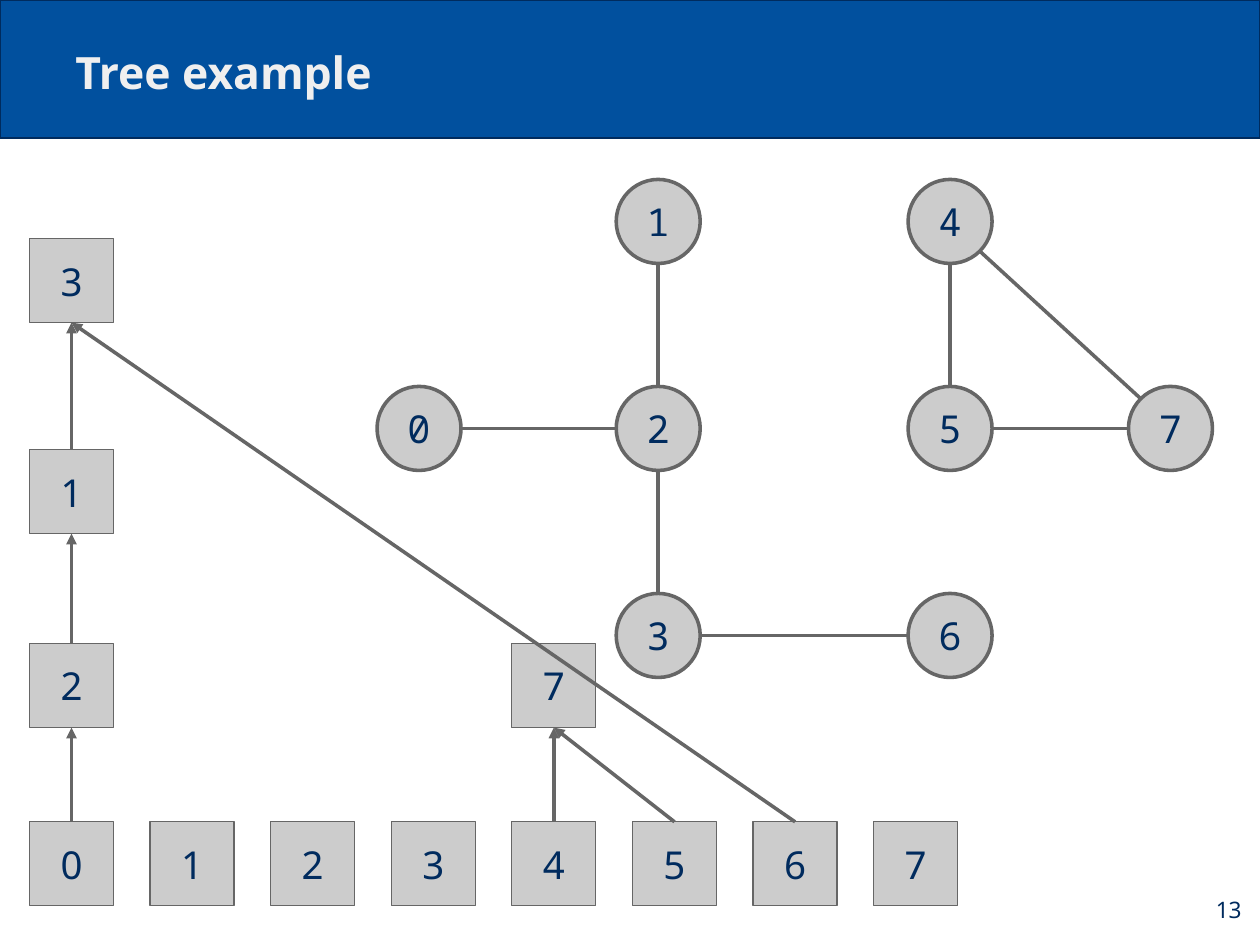
import math

import pptx
import pptx.dml.color
import pptx.enum.shapes
import pptx.enum.text
import pptx.util
from lxml import etree
from pptx.oxml.ns import qn

Pt = pptx.util.Pt
SHAPES = pptx.enum.shapes.MSO_SHAPE
ALIGN = pptx.enum.text.PP_ALIGN
ANCHOR = pptx.enum.text.MSO_ANCHOR
STRAIGHT = pptx.enum.shapes.MSO_CONNECTOR.STRAIGHT

TITLE = "Tree example"
PAGE_NUMBER = "13"
SANS, MONO = "Noto Sans", "Noto Sans Mono"
BLUE, NAVY, PALE = "01509E", "002B5E", "EFEFEF"
LIGHT_GRAY, DARK_GRAY = "CCCCCC", "666666"

WIDTH, HEIGHT = 793.44, 595.44
NODE = 52.9
INSET = 7.9

COLUMNS = [263.9, 414.5, 598.3, 737.1]
ROW_TOP, ROW_STEP = 139.4, 130.3
GRAPH_NODES = {
    "0": (0, 1), "1": (1, 0), "2": (1, 1), "3": (1, 2),
    "4": (2, 0), "5": (2, 1), "6": (2, 2), "7": (3, 1),
}
GRAPH_EDGES = ["02", "12", "23", "36", "45", "47", "57"]

ARRAY_LEFT, ARRAY_STEP = 18.6, 75.94
LEVEL_TOPS = [517.3, 405.1, 283, 150.2]
TREE_NODES = [(str(slot), slot, 0) for slot in range(8)]
TREE_NODES += [("2", 0, 1), ("7", 4, 1), ("1", 0, 2), ("3", 0, 3)]
TREE_ARROWS = [
    ((0, 0), (0, 1)), ((0, 1), (0, 2)), ((0, 2), (0, 3)),
    ((4, 0), (4, 1)), ((5, 0), (4, 1)), ((6, 0), (0, 3)),
]


def color(hex_string):
    return pptx.dml.color.RGBColor.from_string(hex_string)


def write(shape, text, size, font, ink, align, anchor, bold=False):
    frame = shape.text_frame
    frame.word_wrap = True
    frame.vertical_anchor = anchor
    frame.margin_left = frame.margin_right = Pt(INSET)
    frame.margin_top = frame.margin_bottom = Pt(INSET)
    paragraph = frame.paragraphs[0]
    paragraph.alignment = align
    run = paragraph.add_run()
    run.text = text
    run.font.size = Pt(size)
    run.font.name = font
    run.font.bold = bold
    run.font.color.rgb = color(ink)


def add_outline(slide, kind, box, fill, line, line_width):
    shape = slide.shapes.add_shape(kind, *map(Pt, box))
    shape.shadow.inherit = False
    shape.fill.solid()
    shape.fill.fore_color.rgb = color(fill)
    shape.line.color.rgb = color(line)
    shape.line.width = Pt(line_width)
    return shape


def add_node(slide, kind, left, top, label, font, line_width):
    box = (left, top, NODE, NODE)
    shape = add_outline(slide, kind, box, LIGHT_GRAY, DARK_GRAY, line_width)
    write(shape, label, 24.2, font, NAVY, ALIGN.CENTER, ANCHOR.MIDDLE)
    return shape


def add_line(slide, start, end):
    connector = slide.shapes.add_connector(STRAIGHT, *map(Pt, start + end))
    connector.line.color.rgb = color(DARK_GRAY)
    connector.line.width = Pt(2.25)
    etree.SubElement(connector._element.spPr, qn("a:effectLst"))
    return connector


def circle_center(label):
    column, row = GRAPH_NODES[label]
    return COLUMNS[column], ROW_TOP + row * ROW_STEP


def rim_point(label, toward):
    x, y = circle_center(label)
    other_x, other_y = circle_center(toward)
    across = (other_x > x) - (other_x < x)
    down = (other_y > y) - (other_y < y)
    reach = NODE / 2 / math.hypot(across, down)
    return x + across * reach, y + down * reach


def add_graph(slide):
    for label in GRAPH_NODES:
        x, y = circle_center(label)
        add_node(slide, SHAPES.OVAL, x - NODE / 2, y - NODE / 2, label, MONO, 2.25)
    for first, second in GRAPH_EDGES:
        add_line(slide, rim_point(first, second), rim_point(second, first))


def add_tree(slide):
    squares = {}
    for label, slot, level in TREE_NODES:
        left = ARRAY_LEFT + slot * ARRAY_STEP
        squares[slot, level] = add_node(
            slide, SHAPES.RECTANGLE, left, LEVEL_TOPS[level], label, SANS, 0.75)
    for child, parent in TREE_ARROWS:
        arrow = add_line(slide, (0, 0), (0, 0))
        arrow.begin_connect(squares[child], 0)
        arrow.end_connect(squares[parent], 2)
        etree.SubElement(arrow.line._get_or_add_ln(), qn("a:tailEnd"), type="triangle")


def main():
    presentation = pptx.Presentation()
    presentation.slide_width, presentation.slide_height = Pt(WIDTH), Pt(HEIGHT)
    slide = presentation.slides.add_slide(presentation.slide_layouts[6])

    add_outline(slide, SHAPES.RECTANGLE, (0, 0, WIDTH, 87), BLUE, NAVY, 1.5)
    title = slide.shapes.add_textbox(Pt(39.6), Pt(17.3), Pt(714.2), Pt(52.6))
    write(title, TITLE, 28, SANS, PALE, ALIGN.LEFT, ANCHOR.BOTTOM, bold=True)

    add_graph(slide)
    add_tree(slide)

    number = slide.shapes.add_textbox(Pt(742.3), Pt(550.1), Pt(47.5), Pt(45.3))
    write(number, PAGE_NUMBER, 14.3, SANS, NAVY, ALIGN.RIGHT, ANCHOR.MIDDLE)

    presentation.save("out.pptx")


if __name__ == "__main__":
    main()
